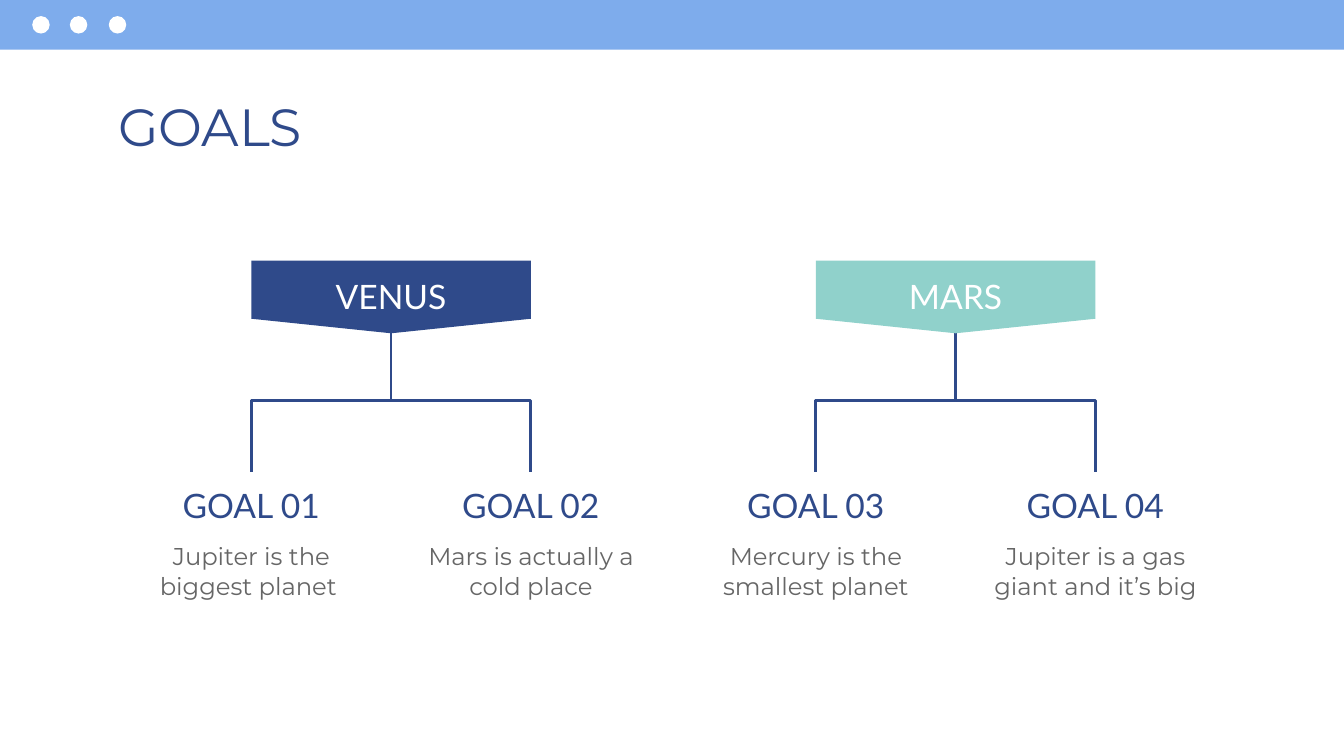
from lxml import etree
from pptx import Presentation
from pptx.dml.color import RGBColor
from pptx.enum.shapes import MSO_CONNECTOR, MSO_SHAPE
from pptx.enum.text import MSO_ANCHOR, MSO_AUTO_SIZE, PP_ALIGN
from pptx.oxml.ns import qn
from pptx.util import Inches, Pt

RECT, OVAL = MSO_SHAPE.RECTANGLE, MSO_SHAPE.OVAL
BANNER = MSO_SHAPE.FLOWCHART_OFFPAGE_CONNECTOR
ELBOW = MSO_CONNECTOR.ELBOW
TOP, MIDDLE, BOTTOM = MSO_ANCHOR.TOP, MSO_ANCHOR.MIDDLE, MSO_ANCHOR.BOTTOM
LEFT, CENTER = PP_ALIGN.LEFT, PP_ALIGN.CENTER

NAVY = RGBColor(0x2F, 0x4A, 0x8A)
SKY = RGBColor(0x7E, 0xAC, 0xEC)
TEAL = RGBColor(0x90, 0xD1, 0xCB)
GRAY = RGBColor(0x66, 0x66, 0x66)
WHITE = RGBColor(0xFF, 0xFF, 0xFF)

HEAD_FONT, BODY_FONT = "Lato", "Montserrat"
BRANCH = 1.04  # horizontal distance from a banner's centre to each goal
TREE_TOP, TREE_BOTTOM = 2.45, 3.51
LABEL_W = 1.86

# Banner name, colour, centre, then goals as (heading, text, text width)
GROUPS = [
    ("VENUS", NAVY, 2.91, [
        ("GOAL 01", "Jupiter is the biggest planet ", LABEL_W),
        ("GOAL 02", "Mars is actually a cold place", LABEL_W)]),
    ("MARS", TEAL, 7.11, [
        ("GOAL 03", "Mercury is the smallest planet", LABEL_W),
        ("GOAL 04", "Jupiter is a gas giant and it’s big", 2)]),
]


def add_filled(s, kind, x, y, w, h, color):
    sp = s.shapes.add_shape(kind, Inches(x), Inches(y), Inches(w), Inches(h))
    sp.shadow.inherit = False
    sp.fill.solid()
    sp.fill.fore_color.rgb = color
    sp.line.fill.background()


def set_text(sp, text, font, size, color, anchor, align):
    tf = sp.text_frame
    tf.word_wrap = True
    tf.auto_size = MSO_AUTO_SIZE.NONE
    tf.vertical_anchor = anchor
    tf.margin_left = tf.margin_right = Inches(0.1)
    tf.margin_top = tf.margin_bottom = Inches(0.1)
    p = tf.paragraphs[0]
    p.text = text
    p.alignment = align
    p.font.name = font
    p.font.size = Pt(size)
    p.font.color.rgb = color


def add_label(s, text, center, y, w, h, font, size, color, anchor):
    sp = s.shapes.add_textbox(Inches(center - w / 2), Inches(y), Inches(w), Inches(h))
    set_text(sp, text, font, size, color, anchor, CENTER)


def add_branch(s, center, side):
    """Elbow going down from the banner; side is -1 for left, 1 for right."""
    # The elbow is laid out sideways about its middle, then turned upright
    mid_x, mid_y = center + side * BRANCH / 2, (TREE_TOP + TREE_BOTTOM) / 2
    half = (TREE_BOTTOM - TREE_TOP) / 2
    c = s.shapes.add_connector(
        ELBOW, Inches(mid_x + side * half), Inches(mid_y - BRANCH / 2),
        Inches(mid_x - side * half), Inches(mid_y + BRANCH / 2))
    c.line.color.rgb = NAVY
    c.line.width = Pt(1.5)
    sp_pr = c._element.spPr
    sp_pr.find(qn("a:xfrm")).set("rot", str((90 if side < 0 else 270) * 60000))
    etree.SubElement(sp_pr, qn("a:effectLst"))


def add_header(s):
    add_filled(s, RECT, 0, 0, 10, 0.37, SKY)
    for x in (0.24, 0.52, 0.81):
        add_filled(s, OVAL, x, 0.12, 0.13, 0.13, WHITE)


def add_title(s, text):
    sp = s.shapes.title
    sp.left, sp.top = Inches(0.78), Inches(0.6)
    sp.width, sp.height = Inches(8.44), Inches(0.51)
    set_text(sp, text, BODY_FONT, 28, NAVY, TOP, LEFT)


def add_group(s, name, color, center, goals):
    for side in (-1, 1):
        add_branch(s, center, side)
    add_filled(s, BANNER, center - BRANCH, 1.94, 2 * BRANCH, 0.54, color)
    add_label(s, name, center, 1.96, LABEL_W, 0.49, HEAD_FONT, 18, WHITE, BOTTOM)
    for side, (heading, text, w) in zip((-1, 1), goals):
        x = center + side * BRANCH
        add_label(s, heading, x, 3.51, LABEL_W, 0.49, HEAD_FONT, 18, NAVY, MIDDLE)
        add_label(s, text, x, 3.93, w, 0.69, BODY_FONT, 13, GRAY, TOP)


def main():
    prs = Presentation()
    prs.slide_width = Inches(10)
    prs.slide_height = prs.slide_width * 9 // 16  # widescreen
    s = prs.slides.add_slide(prs.slide_layouts[5])  # Title Only
    add_header(s)
    add_title(s, "GOALS")
    for group in GROUPS:
        add_group(s, *group)
    prs.save("out.pptx")


if __name__ == "__main__":
    main()
